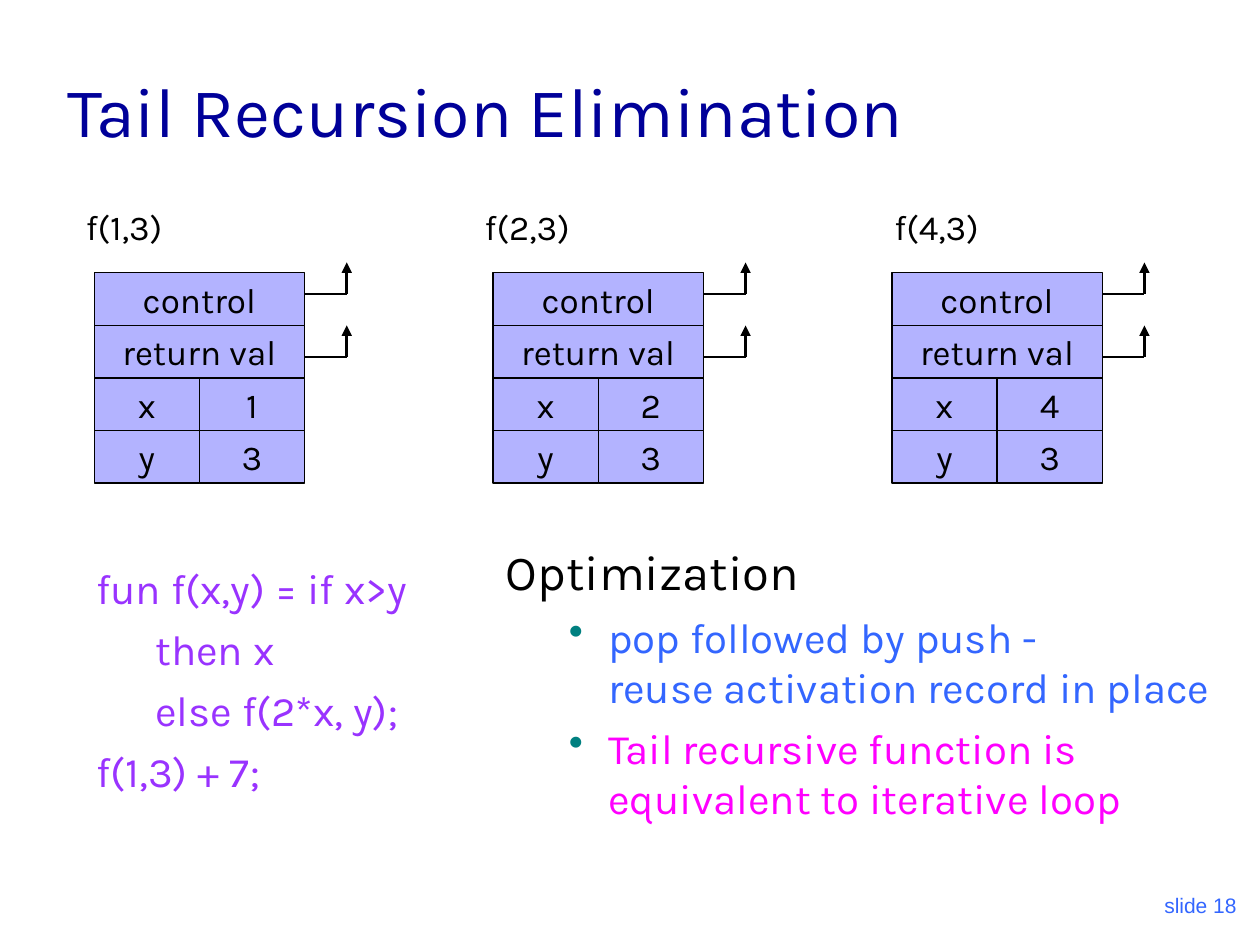
from lxml import etree
from pptx import Presentation
from pptx.dml.color import RGBColor
from pptx.enum.shapes import MSO_CONNECTOR, MSO_SHAPE
from pptx.enum.text import MSO_ANCHOR, MSO_AUTO_SIZE, PP_ALIGN
from pptx.oxml.ns import qn
from pptx.util import Cm, Pt

BLACK = RGBColor(0x00, 0x00, 0x00)
NAVY = RGBColor(0x00, 0x00, 0x99)
LILAC = RGBColor(0xB3, 0xB3, 0xFF)
BLUE = RGBColor(0x33, 0x66, 0xFF)
TEAL = RGBColor(0x00, 0x80, 0x80)
PINK = RGBColor(0xFF, 0x00, 0xFF)
PURPLE = RGBColor(0x99, 0x33, 0xFF)

RECT = MSO_SHAPE.RECTANGLE
STRAIGHT = MSO_CONNECTOR.STRAIGHT
LEFT, CENTER, RIGHT = PP_ALIGN.LEFT, PP_ALIGN.CENTER, PP_ALIGN.RIGHT
TOP, MIDDLE, BOTTOM = MSO_ANCHOR.TOP, MSO_ANCHOR.MIDDLE, MSO_ANCHOR.BOTTOM
FIXED = MSO_AUTO_SIZE.NONE

FRAME_LEFT, FRAME_TOP, PITCH = 1.9, 5.5, 8.04
WIDE, HALF, ROW = 4.24, 2.12, 1.06
CALLS = [("f(1,3)", 1.48, "1"), ("f(2,3)", 9.52, "2"), ("f(4,3)", 17.78, "4")]
CODE = [
    ("fun f(x,y) = if x>y", 2.06),
    ("then x", 3.25),
    ("else f(2*x, y);", 3.25),
    ("f(1,3) + 7;", 2.06),
]
POINTS = [
    ("pop followed by push -\vreuse activation record in place", BLUE),
    ("Tail recursive function is equivalent to iterative loop", PINK),
]


def style(para, size, color, align=LEFT, before=0, font="Karla"):
    para.alignment = align
    para.space_before = Pt(before)
    for run in para.runs:
        run.font.size = Pt(size)
        run.font.name = font
        run.font.color.rgb = color


def indent(para, margin, first):
    props = para._p.get_or_add_pPr()
    props.set("marL", str(Cm(margin)))
    props.set("indent", str(Cm(first)))
    return props


def add_bullet(props):
    color = etree.SubElement(props, qn("a:buClr"))
    etree.SubElement(color, qn("a:srgbClr"), val=str(TEAL))
    etree.SubElement(props, qn("a:buChar"), char="•")


def add_box(slide, left, top, width, height, anchor=TOP):
    box = slide.shapes.add_textbox(Cm(left), Cm(top), Cm(width), Cm(height))
    frame = box.text_frame
    frame.word_wrap = True
    frame.vertical_anchor = anchor
    return frame


def add_title(slide, text):
    title = slide.shapes.title
    title.left, title.top = Cm(1.11), Cm(0.64)
    title.width, title.height = Cm(23.02), Cm(2.54)
    frame = title.text_frame
    frame.text = text
    frame.auto_size = FIXED
    frame.vertical_anchor = BOTTOM
    style(frame.paragraphs[0], 40, NAVY)


def add_cell(slide, text, left, top, width):
    cell = slide.shapes.add_shape(RECT, Cm(left), Cm(top), Cm(width), Cm(ROW))
    cell.shadow.inherit = False
    cell.fill.solid()
    cell.fill.fore_color.rgb = LILAC
    cell.line.color.rgb = BLACK
    cell.line.width = Pt(0.75)
    frame = cell.text_frame
    frame.text = text
    frame.word_wrap = False
    frame.vertical_anchor = MIDDLE
    style(frame.paragraphs[0], 20, BLACK, CENTER)


def add_line(slide, start, end, arrow=False):
    points = [Cm(value) for value in start + end]
    line = slide.shapes.add_connector(STRAIGHT, *points)
    line.line.color.rgb = BLACK
    line.line.width = Pt(1.5)
    if arrow:
        etree.SubElement(line.line._get_or_add_ln(), qn("a:tailEnd"), type="triangle")
    etree.SubElement(line._element.spPr, qn("a:effectLst"))


def add_link(slide, left, top):
    bend = (left + 0.85, top)
    add_line(slide, (left, top), bend)
    add_line(slide, bend, (bend[0], top - 0.64), arrow=True)


def add_record(slide, left, value):
    rows = [["control"], ["return val"], ["x", value], ["y", "3"]]
    for i, row in enumerate(rows):
        width = WIDE / len(row)
        for j, text in enumerate(row):
            add_cell(slide, text, left + j * width, FRAME_TOP + i * ROW, width)
    for top in (5.93, 7.2):
        add_link(slide, left + WIDE, top)


def add_label(slide, text, left):
    frame = add_box(slide, left, 4.02, 3.18, 1.11)
    frame.text = text
    style(frame.paragraphs[0], 20, BLACK, before=12.5)


def add_code(slide):
    frame = add_box(slide, 0.42, 11.22, 9.74, 5.93)
    frame.text = "\n".join(text for text, margin in CODE)
    for para, (text, margin) in zip(frame.paragraphs, CODE):
        para.level = 1
        style(para, 24, PURPLE, before=6)
        indent(para, margin, -0.79)


def add_points(slide):
    frame = add_box(slide, 9.95, 10.8, 14.82, 6.35)
    frame.text = "Optimization"
    head = frame.paragraphs[0]
    style(head, 28, BLACK, before=7)
    indent(head, 0.95, -0.95)
    for text, color in POINTS:
        para = frame.add_paragraph()
        para.text = text
        para.level = 1
        style(para, 24, color, before=6)
        add_bullet(indent(para, 2.06, -0.79))


def add_number(slide):
    frame = add_box(slide, 19.9, 17.36, 5.28, 1.27, BOTTOM)
    frame.text = "slide 18"
    style(frame.paragraphs[0], 12, BLUE, RIGHT, 7.5, "Arial")


def main():
    deck = Presentation()
    deck.slide_width, deck.slide_height = Cm(25.4), Cm(19.05)
    slide = deck.slides.add_slide(deck.slide_layouts[5])
    add_title(slide, "Tail Recursion Elimination")
    for i, (call, left, value) in enumerate(CALLS):
        add_label(slide, call, left)
        add_record(slide, FRAME_LEFT + i * PITCH, value)
    add_code(slide)
    add_points(slide)
    add_number(slide)
    deck.save("out.pptx")


if __name__ == "__main__":
    main()
